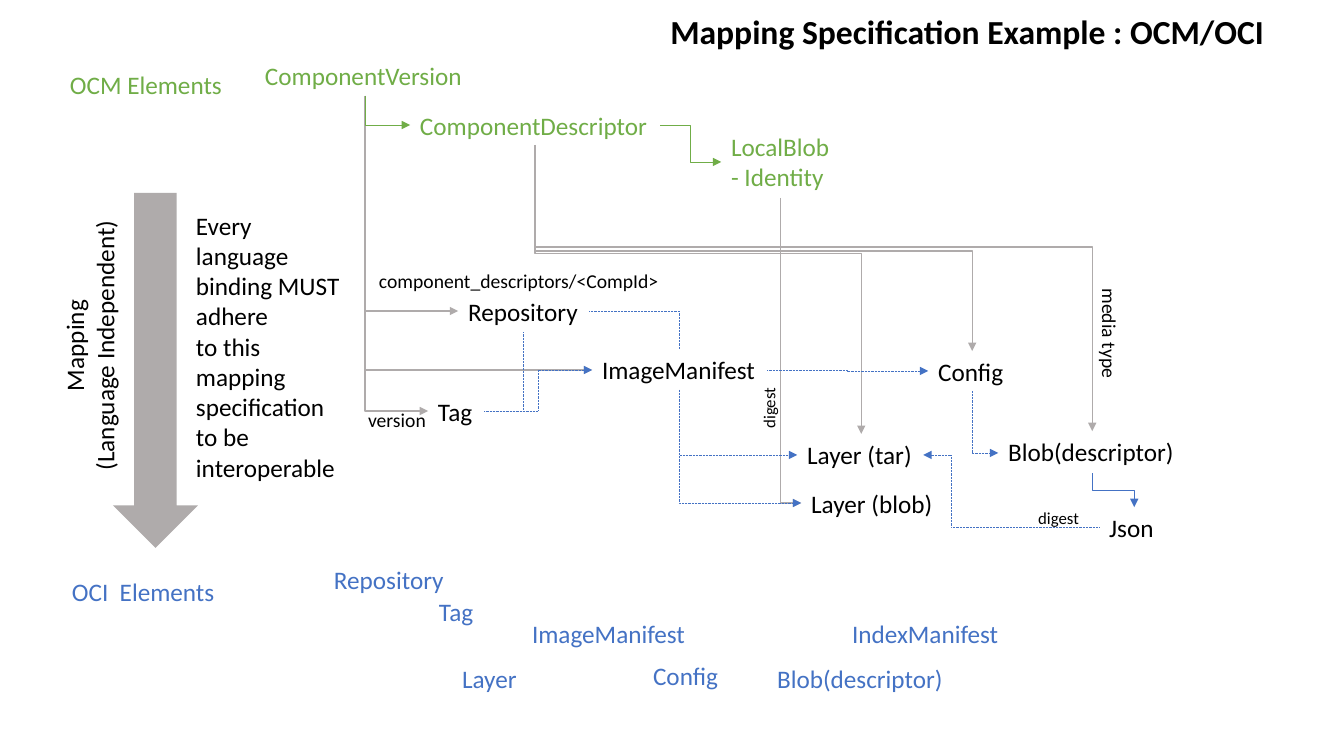
from dataclasses import dataclass

from lxml import etree
from pptx import Presentation
from pptx.dml.color import RGBColor
from pptx.enum.dml import MSO_LINE
from pptx.enum.shapes import MSO_CONNECTOR, MSO_SHAPE
from pptx.enum.text import MSO_ANCHOR, MSO_AUTO_SIZE, PP_ALIGN
from pptx.oxml.ns import qn
from pptx.util import Inches, Pt

ELBOW, DOWN_ARROW = MSO_CONNECTOR.ELBOW, MSO_SHAPE.DOWN_ARROW
DOTTED = MSO_LINE.ROUND_DOT
LEFT, CENTER, TOP = PP_ALIGN.LEFT, PP_ALIGN.CENTER, MSO_ANCHOR.TOP
FIT = MSO_AUTO_SIZE.SHAPE_TO_FIT_TEXT
EMU_PER_PX = 914400 / 100.8


@dataclass(frozen=True)
class Theme:
    font: str = "Calibri"
    ink: str = "000000"
    ocm: str = "70AD47"
    oci: str = "4472C4"
    gray: str = "AFABAB"
    title: int = 24
    body: int = 18
    note: int = 14
    small: int = 12


THEME = Theme()
LINE_HEIGHT = {THEME.title: 50, THEME.body: 40, THEME.note: 34, THEME.small: 30}
EXTRA_LINE = 31

# Labels: text, left, top, width
OCM_LABELS = [
    ("OCM Elements", 60, 64, 173),
    ("ComponentVersion", 255, 55, 220),
    ("ComponentDescriptor", 410, 105, 250),
    ("LocalBlob\n- Identity", 721, 126, 120),
]
OCI_LABELS = [
    ("OCI  Elements", 62, 571, 164),
    ("Repository", 324, 559, 131),
    ("Tag", 429, 591, 55),
    ("ImageManifest", 522, 613, 175),
    ("IndexManifest", 842, 613, 168),
    ("Layer", 452, 658, 76),
    ("Config", 643, 655, 87),
    ("Blob(descriptor)", 767, 658, 187),
]
MAPPED_LABELS = [
    ("Repository", 458, 291, 131),
    ("Tag", 428, 391, 55),
    ("ImageManifest", 592, 349, 175),
    ("Config", 928, 351, 87),
    ("Layer (tar)", 797, 434, 126),
    ("Layer (blob)", 801, 483, 143),
    ("Blob(descriptor)", 998, 431, 187),
    ("Json", 1099, 507, 66),
]
# Notes: text, left, top, width, size, rotation
NOTES = [
    ("version", 358, 403, 79, THEME.note, 0),
    ("component_descriptors/<CompId>", 369, 264, 302, THEME.note, 0),
    ("media type", 1054, 317, 111, THEME.note, 90),
    ("digest", 738, 393, 61, THEME.small, 270),
    ("digest", 1028, 503, 61, THEME.small, 0),
]

# Routes: start, end, turns (V = vertical leg, H = horizontal leg), bend position
VERSION, DESCRIPTOR = (365, 96), (535, 145)
MANIFEST_IN, MANIFEST_OUT = (592, 370), (679, 390)
TAG_OUT, LAYER_BLOB = (484, 411), (801, 503)
MAPPING_ROUTES = [
    (VERSION, (428, 411), "VH"),
    (VERSION, MANIFEST_IN, "VH"),
    (VERSION, (458, 311), "VH"),
    (DESCRIPTOR, (861, 434), "VHV", 0.375),
    (DESCRIPTOR, (1092, 431), "VHV", 0.357),
    (DESCRIPTOR, (972, 351), "VHV", 0.515),
    ((780, 198), LAYER_BLOB, "VH"),
]
OCM_ROUTES = [
    (VERSION, (410, 125), "VH"),
    ((660, 125), (721, 162), "HVH"),
]
OCI_ROUTES = [
    (MANIFEST_OUT, (797, 455), "VH"),
    (MANIFEST_OUT, LAYER_BLOB, "VH"),
    (TAG_OUT, MANIFEST_IN, "HVH"),
    ((767, 370), (928, 371), "HVH"),
    ((972, 391), (998, 453), "VH"),
    ((1099, 527), (923, 455), "HVH", 0.84),
]
PLAIN_ROUTES = [
    ((679, 349), (589, 311), "VH"),
    (TAG_OUT, (523, 332), "HV"),
]
JSON_ROUTES = [((1092, 473), (1134, 507), "VHV")]


def px(*values):
    return [round(v * EMU_PER_PX) for v in values]


def apply(target, **values):
    for name, value in values.items():
        setattr(target, name, value)


def write(tf, text, size, color, wrap=False, align=LEFT, bold=False):
    apply(tf, word_wrap=wrap, auto_size=FIT, vertical_anchor=TOP)
    for i, line in enumerate(text.split("\n")):
        p = tf.add_paragraph() if i else tf.paragraphs[0]
        p.alignment = align
        r = p.add_run()
        r.text = line
        apply(r.font, name=THEME.font, size=Pt(size), bold=bold)
        r.font.color.rgb = RGBColor.from_string(color)


def add_label(shapes, text, x, y, w, color=THEME.ink, size=THEME.body,
              rotation=0, h=None, **style):
    h = h or LINE_HEIGHT[size] + EXTRA_LINE * text.count("\n")
    s = shapes.add_textbox(*px(x, y, w, h))
    s.rotation = rotation
    write(s.text_frame, text, size, color, **style)


def add_route(shapes, start, end, turns, bend=0.5, color=THEME.gray,
              width=1, dash=None, arrow=True):
    (x1, y1), (x2, y2) = start, end
    vertical = turns[0] == "V"
    if vertical:  # lay the route on its side; the rotation below sets it upright
        cx, cy, dx, dy = (x1 + x2) / 2, (y1 + y2) / 2, x2 - x1, y2 - y1
        x1, y1 = cx + dy / 2, cy - dx / 2
        x2, y2 = cx - dy / 2, cy + dx / 2
    s = shapes.add_connector(ELBOW, *px(x1, y1, x2, y2))
    s.line.color.rgb = RGBColor.from_string(color)
    s.line.width = Pt(width)
    if dash:
        s.line.dash_style = dash
    spPr = s._element.spPr
    if vertical:
        spPr.find(qn("a:xfrm")).set("rot", str(270 * 60000))
    geom = spPr.find(qn("a:prstGeom"))
    geom.set("prst", f"bentConnector{len(turns)}")
    if len(turns) == 3:
        etree.SubElement(geom.find(qn("a:avLst")), qn("a:gd"), name="adj1",
                         fmla=f"val {round(bend * 100000)}")
    if arrow:
        etree.SubElement(spPr.find(qn("a:ln")), qn("a:tailEnd"), type="triangle")
    etree.SubElement(spPr, qn("a:effectLst"))


def add_mapping_arrow(shapes):
    s = shapes.add_shape(DOWN_ARROW, *px(113, 193, 85, 355))
    s.shadow.inherit = False
    s.fill.solid()
    s.fill.fore_color.rgb = RGBColor.from_string(THEME.gray)
    s.line.fill.background()


def add_title(shapes, text):
    s = shapes.title
    left, top, width, height = px(660, 6, 621, 50)
    apply(s, left=left, top=top, width=width, height=height)
    write(s.text_frame, text, THEME.title, THEME.ink, bold=True)


def main():
    prs = Presentation()
    apply(prs, slide_width=Inches(13.33), slide_height=Inches(7.5))
    shapes = prs.slides.add_slide(prs.slide_layouts[5]).shapes
    add_title(shapes, "Mapping Specification Example : OCM/OCI")

    # Routes between elements
    for routes, style in (
        (MAPPING_ROUTES, {}),
        (OCM_ROUTES, dict(color=THEME.ocm, width=0.5)),
        (OCI_ROUTES, dict(color=THEME.oci, width=0.5, dash=DOTTED)),
        (PLAIN_ROUTES, dict(color=THEME.oci, width=0.5, dash=DOTTED, arrow=False)),
        (JSON_ROUTES, dict(color=THEME.oci, width=0.5)),
    ):
        for route in routes:
            add_route(shapes, *route, **style)

    # Element names
    for labels, color in ((OCM_LABELS, THEME.ocm), (OCI_LABELS, THEME.oci),
                          (MAPPED_LABELS, THEME.ink)):
        for label in labels:
            add_label(shapes, *label, color)

    # Notes along the routes
    for text, x, y, w, size, rotation in NOTES:
        add_label(shapes, text, x, y, w, size=size, rotation=rotation)

    # Mapping direction and rule
    add_mapping_arrow(shapes)
    add_label(shapes, "Mapping\n(Language Independent)", -47, 310, 273,
              rotation=270, align=CENTER)
    add_label(shapes, "Every language binding MUST adhere\n"
              "to this mapping specification to be interoperable",
              186, 205, 169, h=316, wrap=True)

    prs.save("out.pptx")


main()
